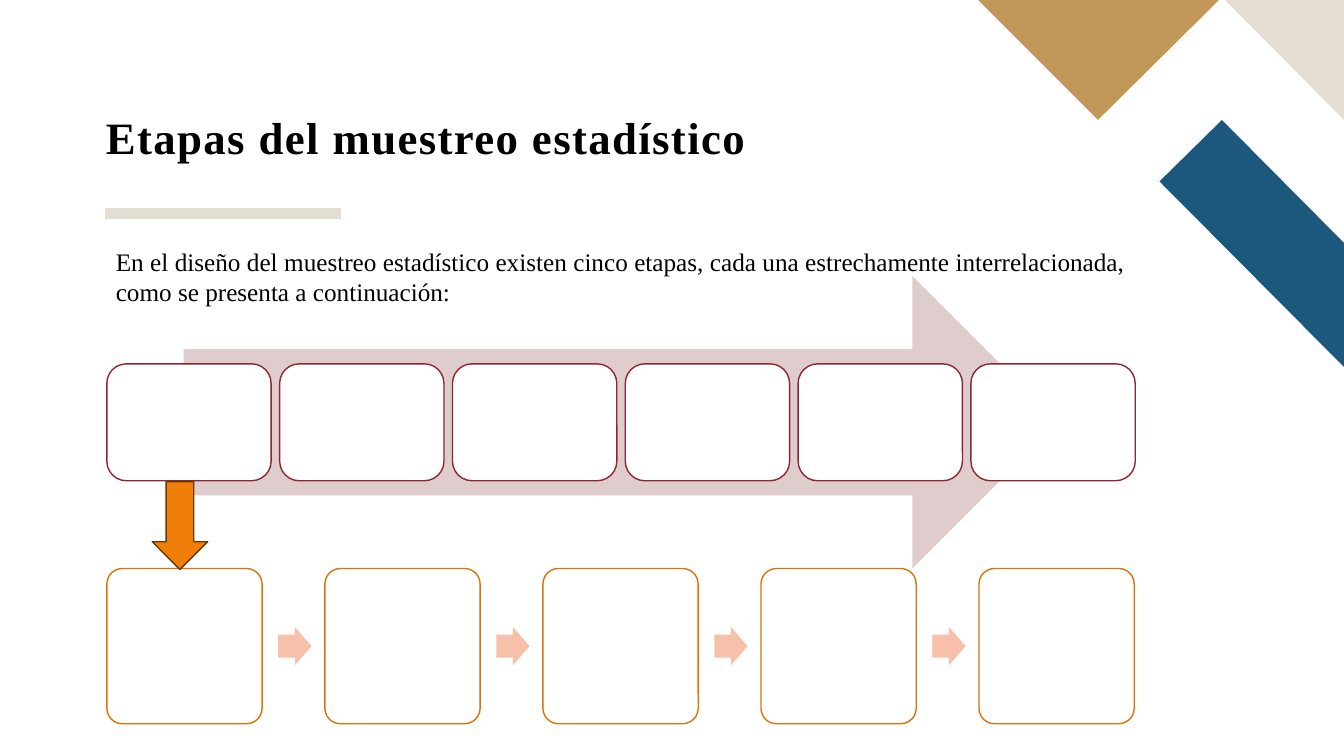
from pptx import Presentation
from pptx.dml.color import RGBColor
from pptx.enum import shapes, text
from pptx.oxml.ns import qn
from pptx.util import Inches, Pt
from lxml import etree

BLACK = RGBColor(0x00, 0x00, 0x00)
WHITE = RGBColor(0xFF, 0xFF, 0xFF)
BLUE = RGBColor(0x1B, 0x58, 0x7C)
SAND = RGBColor(0xE3, 0xDE, 0xD1)
GOLD = RGBColor(0xC1, 0x98, 0x59)
WINE = RGBColor(0x90, 0x25, 0x31)
PALE_WINE = RGBColor(0xDF, 0xCD, 0xCE)
ORANGE = RGBColor(0xF0, 0x7F, 0x09)
ORANGE_LINE = RGBColor(0xDA, 0x73, 0x08)
BROWN = RGBColor(0x69, 0x38, 0x04)
SALMON = RGBColor(0xF6, 0xC0, 0xAB)
KIND = shapes.MSO_SHAPE

deck = Presentation()
deck.slide_width, deck.slide_height = Inches(13.33), Inches(7.5)
page = deck.slides.add_slide(deck.slide_layouts[6])


def add_block(kind, left, top, width, height, fill, line=None):
    block = page.shapes.add_shape(
        kind, Inches(left), Inches(top), Inches(width), Inches(height))
    block.shadow.inherit = False
    block.fill.solid()
    block.fill.fore_color.rgb = fill
    if line is None:
        block.line.fill.background()
    else:
        block.line.color.rgb = line
        block.line.width = Pt(1)
    return block


def add_text(left, top, width, height, words, size):
    box = page.shapes.add_textbox(
        Inches(left), Inches(top), Inches(width), Inches(height))
    box.text_frame.word_wrap = True
    box.text_frame.text = words
    para = box.text_frame.paragraphs[0]
    para.alignment = text.PP_ALIGN.JUSTIFY
    font = para.runs[0].font
    font.name, font.size = "Times New Roman", Pt(size)
    font.color.rgb = BLACK
    return box


# Corner decoration
corner_pieces = [
    (BLUE, [(13.33, 3.64), (13.33, 2.41), (12.12, 1.19), (11.5, 1.8)]),
    (SAND, [(13.33, 1.19), (13.33, 0), (12.15, 0)]),
    (GOLD, [(9.7, 0), (10.89, 1.19), (12.09, 0)]),
]
for color, corners in corner_pieces:
    points = [(Inches(x), Inches(y)) for x, y in corners]
    builder = page.shapes.build_freeform(*points[0])
    builder.add_line_segments(points[1:], close=True)
    piece = builder.convert_to_shape()
    piece.shadow.inherit = False
    piece.fill.solid()
    piece.fill.fore_color.rgb = color
    piece.line.fill.background()

# Rule under the title
rule = page.shapes.add_connector(
    shapes.MSO_CONNECTOR.STRAIGHT,
    Inches(1.04), Inches(2.12), Inches(3.38), Inches(2.12))
rule.line.color.rgb = SAND
rule.line.width = Pt(8)
etree.SubElement(rule._element.spPr, qn("a:effectLst"))

# Title
title = add_text(1.05, 0.96, 7.35, 0.67, "Etapas del muestreo estadístico", 32)
frame = title.text_frame
frame.margin_left = frame.margin_right = frame.margin_top = frame.margin_bottom = 0
frame.vertical_anchor = text.MSO_ANCHOR.BOTTOM
frame.paragraphs[0].line_spacing = 0.9
span = frame.paragraphs[0].runs[0]
span.font.bold = True
span.font._element.set("spc", "100")

# Introduction
add_text(1.05, 2.39, 10.21, 0.71,
         "En el diseño del muestreo estadístico existen cinco etapas, cada una "
         "estrechamente interrelacionada, como se presenta a continuación:", 18)

# Lower row: five boxes joined by small arrows
for step in range(5):
    left = 1.06 + step * 2.1625
    stage = add_block(KIND.ROUNDED_RECTANGLE, left, 5.64, 1.54, 1.54,
                      WHITE, ORANGE_LINE)
    stage.adjustments[0] = 0.1
    if step < 4:
        arrow = add_block(KIND.RIGHT_ARROW, left + 1.7, 6.22, 0.33, 0.38, SALMON)
        arrow.adjustments[0] = 0.6

# Upper row: six boxes over a wide arrow
add_block(KIND.RIGHT_ARROW, 1.82, 2.74, 8.68, 2.9, PALE_WINE)
for step in range(6):
    add_block(KIND.ROUNDED_RECTANGLE, 1.06 + step * 1.714, 3.61, 1.63, 1.16,
              WHITE, WINE)

# Arrow from the upper row to the lower row
add_block(KIND.DOWN_ARROW, 1.51, 4.78, 0.55, 0.87, ORANGE, BROWN)

deck.save("out.pptx")
